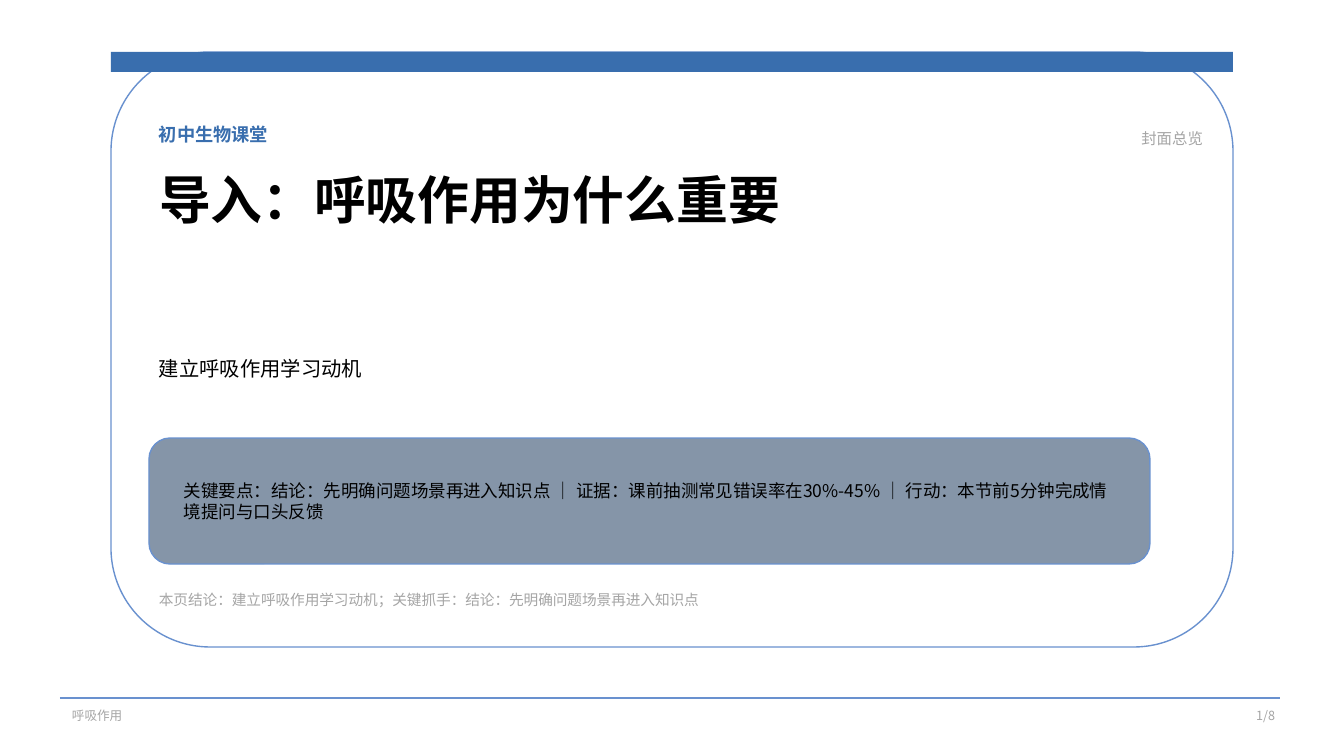
"""Build the cover slide of a biology lesson on respiration."""
from lxml import etree
from pptx import Presentation
from pptx.dml.color import RGBColor
from pptx.enum.shapes import MSO_CONNECTOR, MSO_SHAPE
from pptx.enum.text import MSO_ANCHOR, MSO_AUTO_SIZE, PP_ALIGN
from pptx.oxml.ns import qn
from pptx.util import Emu, Pt

SCALE = 914400 / 100.8
FONT = "Noto Sans CJK SC"
COLORS = {"card": "FFFFFF", "accent": "396EAE", "outline": "6991CF",
          "panel": "8595A8", "ink": "000000", "muted": "A5A5A5"}


def px(value):
    """Turn pixels into EMU."""
    return Emu(round(value * SCALE))


def color(name):
    """Look up a palette colour."""
    return RGBColor.from_string(COLORS[name])


def add_block(slide, kind, box, fill, line=None):
    """Add a flat filled shape with an optional thin outline."""
    shape = slide.shapes.add_shape(kind, *map(px, box))
    shape.shadow.inherit = False
    shape.fill.solid()
    shape.fill.fore_color.rgb = color(fill)
    if line:
        shape.line.color.rgb = color(line)
        shape.line.width = Pt(1)
    else:
        shape.line.fill.background()


def write(shape, text, size, ink, bold=False, align=PP_ALIGN.LEFT, anchor=MSO_ANCHOR.MIDDLE):
    """Fill a shape with one formatted paragraph."""
    frame = shape.text_frame
    frame.word_wrap = True
    frame.auto_size = MSO_AUTO_SIZE.NONE
    frame.vertical_anchor = anchor
    paragraph = frame.paragraphs[0]
    paragraph.alignment = align
    paragraph.line_spacing = 1.0
    run = paragraph.add_run()
    run.text = text
    run.font.name = FONT
    run.font.size = Pt(size)
    run.font.bold = bold
    run.font.color.rgb = color(ink)
    etree.SubElement(run.font._element, qn("a:ea")).set("typeface", FONT)


def add_text(slide, box, text, size, ink, **style):
    """Add a wrapped text box."""
    write(slide.shapes.add_textbox(*map(px, box)), text, size, ink, **style)


def place_title(slide, box, text):
    """Move the title placeholder in front of the card and format it."""
    title = slide.shapes.title
    slide.shapes._spTree.append(title._element)
    title.left, title.top, title.width, title.height = map(px, box)
    write(title, text, 37, "ink", bold=True, anchor=MSO_ANCHOR.TOP)


def add_key_points(slide, box, text):
    """Add the rounded panel with its inset text."""
    x, y, w, h = box
    add_block(slide, MSO_SHAPE.ROUNDED_RECTANGLE, box, "panel", "outline")
    add_text(slide, (x + 25, y + 38, w - 50, h - 76), text, 12.5, "ink")


def add_cover(slide, box):
    """Add the cover card with its heading, key points and conclusion."""
    x, y, w, h = box
    left, width = x + 38, 1001
    add_block(slide, MSO_SHAPE.ROUNDED_RECTANGLE, box, "card", "outline")
    add_block(slide, MSO_SHAPE.RECTANGLE, (x, y, w, 20), "accent")
    add_text(slide, (left, y + 64, 484, 36), "初中生物课堂", 13, "accent", bold=True)
    add_text(slide, (x + w - 620, y + 69, 600, 34), "封面总览", 11, "muted",
             align=PP_ALIGN.RIGHT)
    place_title(slide, (left, y + 111, width, 136), "导入：呼吸作用为什么重要")
    add_text(slide, (left, y + 271, width, 91), "建立呼吸作用学习动机", 14.5, "ink")
    add_key_points(slide, (left, y + 386, width, 126),
                   "关键要点：结论：先明确问题场景再进入知识点 ｜ "
                   "证据：课前抽测常见错误率在30%-45% ｜ "
                   "行动：本节前5分钟完成情境提问与口头反馈")
    add_text(slide, (left, y + 529, width, 38),
             "本页结论：建立呼吸作用学习动机；关键抓手：结论：先明确问题场景再进入知识点",
             10.5, "muted")


def add_footer(slide, box):
    """Add the footer rule, topic and page number."""
    x, y, w, h = box
    rule = slide.shapes.add_connector(MSO_CONNECTOR.STRAIGHT, px(x), px(y), px(x + w), px(y))
    rule.line.color.rgb = color("outline")
    rule.line.width = Pt(1)
    etree.SubElement(rule._element.spPr, qn("a:effectLst"))
    add_text(slide, (x + 2, y + 3, 867, h - 3), "呼吸作用", 9, "muted")
    add_text(slide, (x + w - 75, y + 3, 80, h - 3), "1/8", 9, "muted", align=PP_ALIGN.RIGHT)


def main():
    """Create and save the presentation."""
    deck = Presentation()
    deck.slide_width, deck.slide_height = px(1344), px(756)
    slide = deck.slides.add_slide(deck.slide_layouts[5])
    add_cover(slide, (111, 52, 1122, 595))
    add_footer(slide, (60, 698, 1220, 31))
    deck.save("out.pptx")


main()
